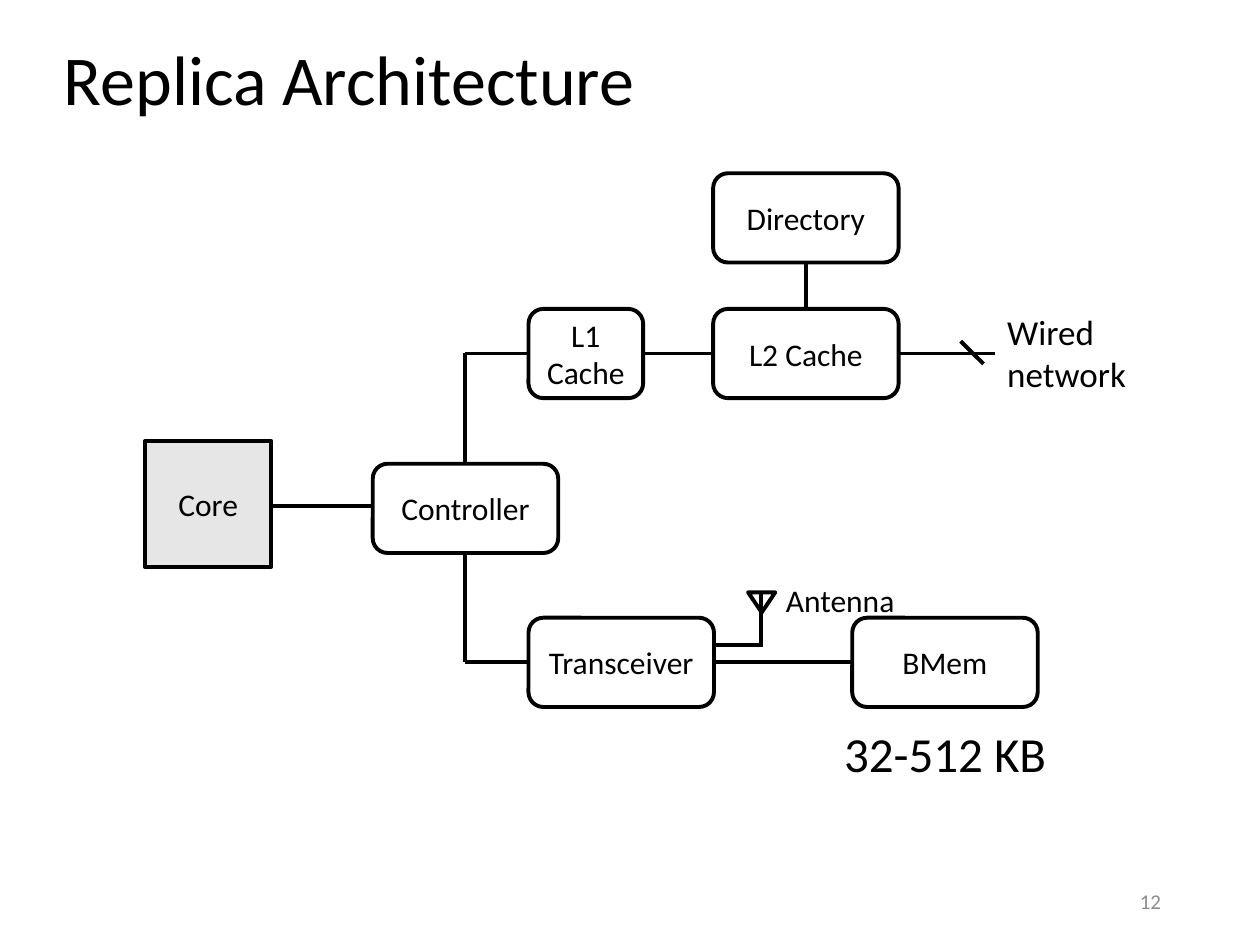
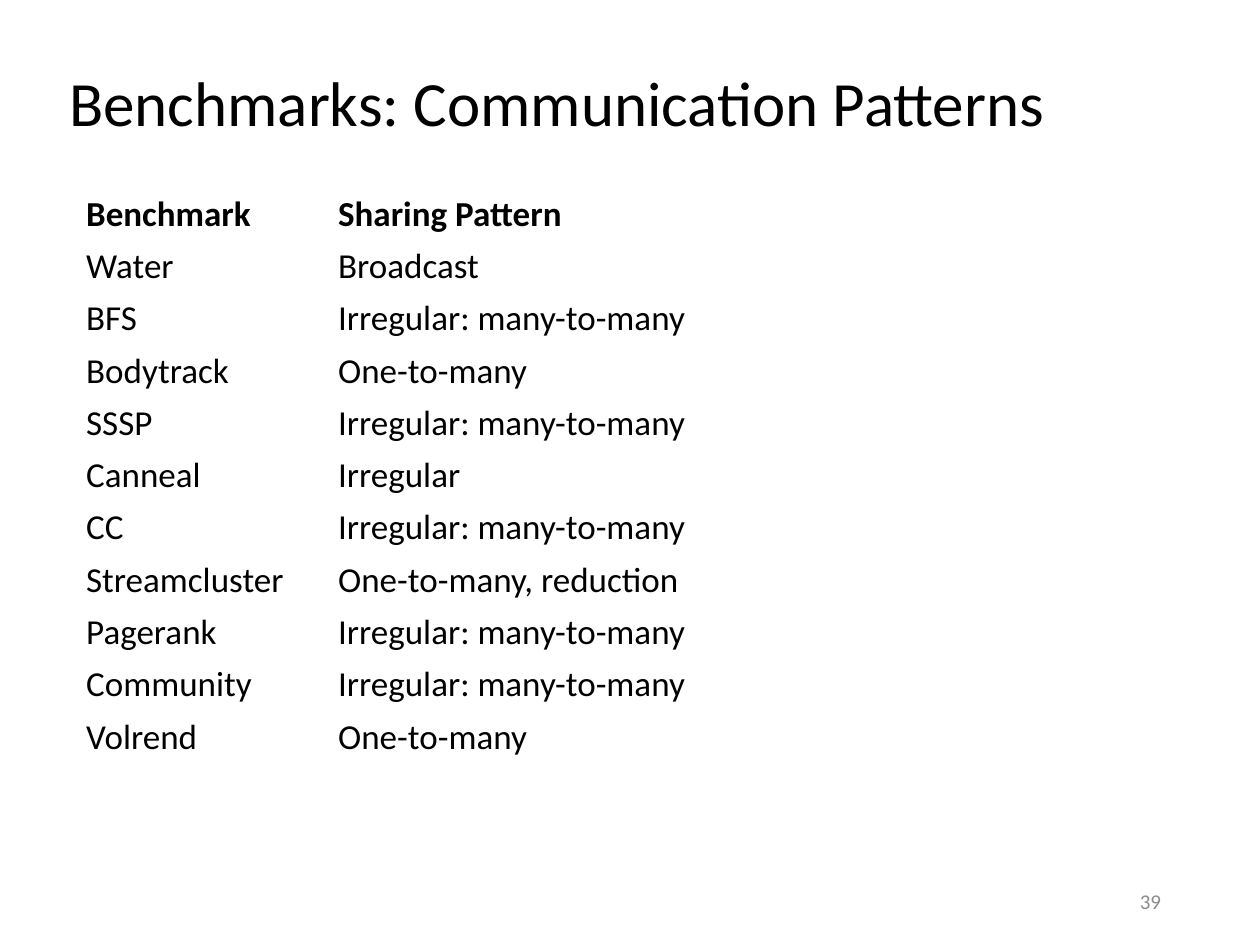
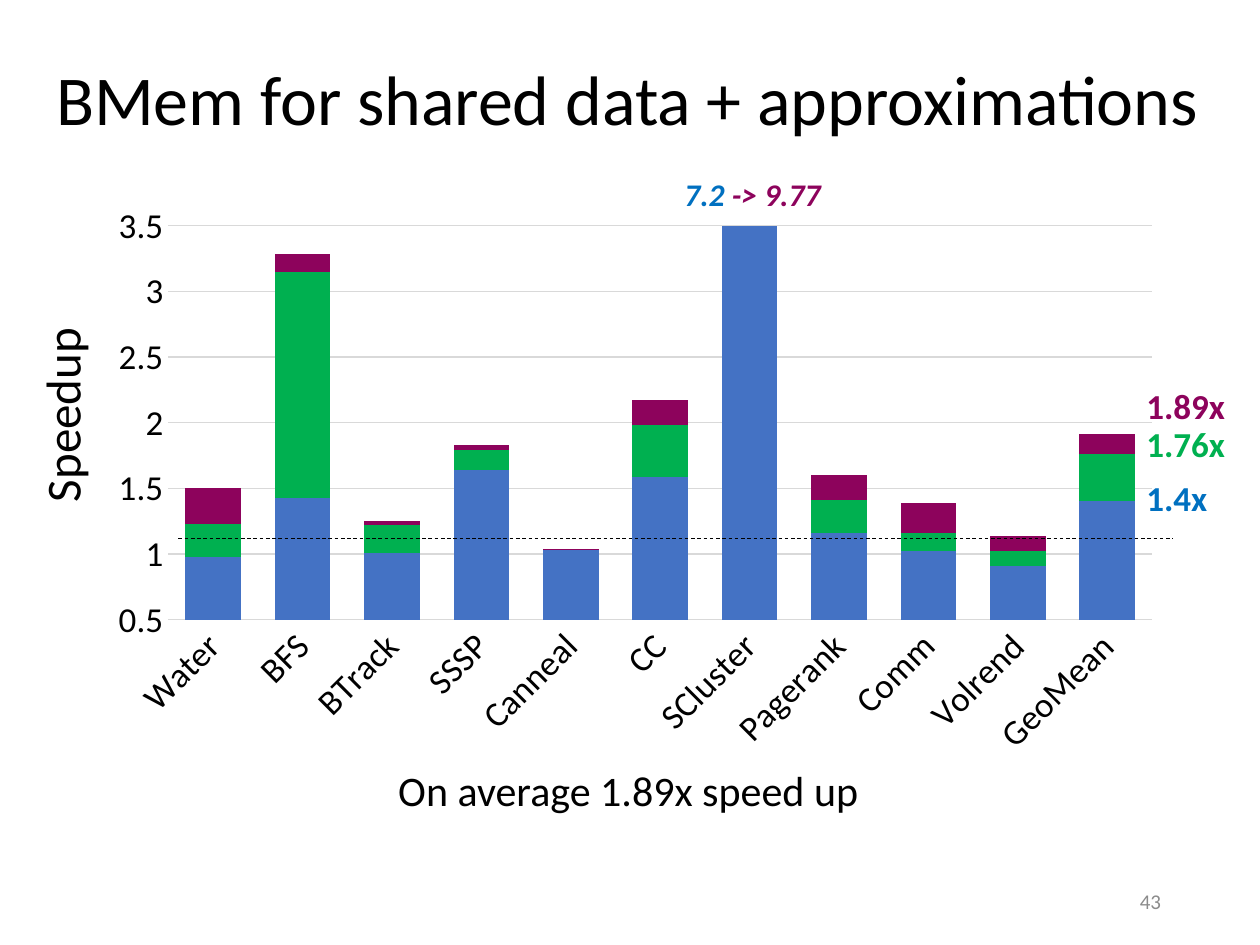
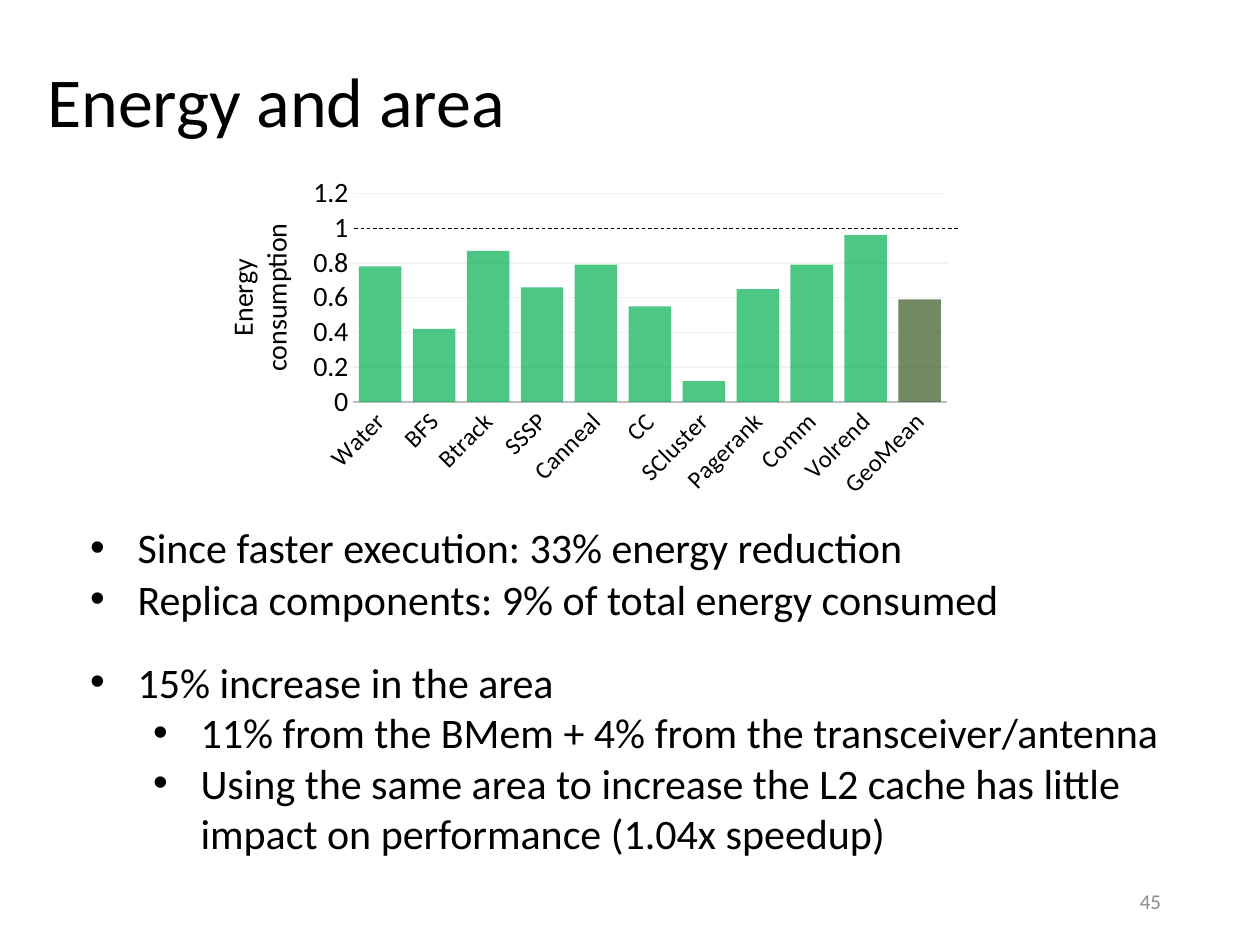
from dataclasses import dataclass
from typing import NamedTuple, Optional

from lxml import etree
from pptx import Presentation
from pptx import util as u
from pptx.chart import data as chart_data
from pptx.dml import color
from pptx.enum import chart as ch
from pptx.enum import dml, shapes, text
from pptx.oxml import ns

Pt = u.Pt
FONT = "Calibri"
COLORS = {
    "black": "000000",
    "white": "FFFFFF",
    "core": "E7E6E6",
    "number": "8C8C8C",
    "grid": "D9D9D9",
    "pale_grid": "F2F2F2",
    "axis": "BFBFBF",
    "blue_bar": "4472C4",
    "blue": "0070C0",
    "green": "00B050",
    "purple": "8D035C",
    "olive": "385723",
}
LEFT, CENTER, RIGHT = text.PP_ALIGN.LEFT, text.PP_ALIGN.CENTER, text.PP_ALIGN.RIGHT
TOP, MIDDLE = text.MSO_ANCHOR.TOP, text.MSO_ANCHOR.MIDDLE
RECT, ROUND = shapes.MSO_SHAPE.RECTANGLE, shapes.MSO_SHAPE.ROUNDED_RECTANGLE


class Frame(NamedTuple):
    x: float
    y: float
    w: float
    h: float


class Run(NamedTuple):
    text: str
    color: str = "black"
    bold: bool = False
    italic: bool = False


class Bullet(NamedTuple):
    text: str
    level: int = 0


class Line(NamedTuple):
    x1: float
    y1: float
    x2: float
    y2: float


@dataclass
class Label:
    frame: Frame
    paragraphs: list[list[Run]]
    size: float
    align: text.PP_ALIGN = LEFT
    anchor: text.MSO_ANCHOR = TOP
    wrap: bool = True
    rotation: float = 0
    spacing: float = 1


@dataclass
class Block:
    frame: Frame
    caption: str
    kind: shapes.MSO_SHAPE = ROUND
    fill: str = "white"
    size: float = 18
    outlined: bool = True


@dataclass
class Bars:
    frame: Frame
    kind: ch.XL_CHART_TYPE
    categories: list[str]
    series: list[tuple[str, list[float]]]
    cat_size: float
    val_size: float
    minimum: float
    maximum: float
    step: float
    gap: int
    overlap: int
    grid: str
    axis: str
    axis_width: float
    opacity: Optional[int] = None
    accents: Optional[dict[int, str]] = None


def rgb(name: str) -> color.RGBColor:
    return color.RGBColor.from_string(COLORS[name])


def paint(fill, name: str) -> None:
    fill.solid()
    fill.fore_color.rgb = rgb(name)


def style_line(line, name: str, width: float) -> None:
    line.color.rgb = rgb(name)
    line.width = Pt(width)


def style_font(font, size: float, name: str = "black") -> None:
    font.name = FONT
    font.size = Pt(size)
    font.color.rgb = rgb(name)


def add_run(p, run: Run, size: float) -> None:
    r = p.add_run()
    r.text = run.text
    style_font(r.font, size, run.color)
    r.font.bold = run.bold
    r.font.italic = run.italic


def points(values) -> list:
    return [Pt(v) for v in values]


def paragraph(tf, index: int):
    return tf.paragraphs[0] if index == 0 else tf.add_paragraph()


def add_label(s, label: Label) -> None:
    sp = s.shapes.add_textbox(*points(label.frame))
    sp.rotation = label.rotation
    tf = sp.text_frame
    tf.word_wrap = label.wrap
    tf.vertical_anchor = label.anchor
    for i, runs in enumerate(label.paragraphs):
        p = paragraph(tf, i)
        p.alignment = label.align
        p.line_spacing = label.spacing
        for run in runs:
            add_run(p, run, label.size)


def add_bullets(s, frame: Frame, bullets: list[Bullet]) -> None:
    tf = s.shapes.add_textbox(*points(frame)).text_frame
    tf.word_wrap = True
    for i, bullet in enumerate(bullets):
        p = paragraph(tf, i)
        p.level = bullet.level
        pPr = p._p.get_or_add_pPr()
        pPr.set("marL", str(Pt(27 + 36 * bullet.level)))
        pPr.set("indent", str(Pt(-27)))
        etree.SubElement(pPr, ns.qn("a:buFont"), typeface="Arial")
        etree.SubElement(pPr, ns.qn("a:buChar"), char="•")
        add_run(p, Run(bullet.text), 24)


def add_block(s, block: Block) -> None:
    sp = s.shapes.add_shape(block.kind, *points(block.frame))
    sp.shadow.inherit = False
    paint(sp.fill, block.fill)
    if block.outlined:
        style_line(sp.line, "black", 2.25)
    else:
        sp.line.fill.background()
    tf = sp.text_frame
    tf.word_wrap = True
    tf.vertical_anchor = MIDDLE
    p = tf.paragraphs[0]
    p.alignment = CENTER
    add_run(p, Run(block.caption), block.size)


def add_line(s, line: Line, width: float = 2.25, dashed: bool = False) -> None:
    cx = s.shapes.add_connector(shapes.MSO_CONNECTOR.STRAIGHT, *points(line))
    style_line(cx.line, "black", width)
    if dashed:
        cx.line.dash_style = dml.MSO_LINE.DASH
    etree.SubElement(cx._element.spPr, ns.qn("a:effectLst"))


def add_bars(s, bars: Bars) -> None:
    data = chart_data.CategoryChartData()
    data.categories = bars.categories
    for i, (_, values) in enumerate(bars.series, 1):
        data.add_series(f"Series {i}", values)
    chart = s.shapes.add_chart(bars.kind, *points(bars.frame), data).chart
    chart.has_legend = False
    chart.has_title = False
    style_font(chart.font, bars.val_size)

    cat, val = chart.category_axis, chart.value_axis
    for axis, size in ((cat, bars.cat_size), (val, bars.val_size)):
        axis.major_tick_mark = axis.minor_tick_mark = ch.XL_TICK_MARK.NONE
        style_font(axis.tick_labels.font, size)
    style_line(cat.format.line, bars.axis, bars.axis_width)
    cat._element.txPr.bodyPr.set("rot", "-2700000")
    val.format.line.fill.background()
    val.minimum_scale, val.maximum_scale = bars.minimum, bars.maximum
    val.major_unit = bars.step
    val.tick_labels.number_format = "General"
    val.tick_labels.number_format_is_linked = False
    style_line(val.major_gridlines.format.line, bars.grid, 0.75)

    plot = chart.plots[0]
    plot.vary_by_categories = False
    plot.gap_width, plot.overlap = bars.gap, bars.overlap
    for ser, (name, _) in zip(plot.series, bars.series):
        ser.invert_if_negative = False
        paint(ser.format.fill, name)
        for index, accent in (bars.accents or {}).items():
            paint(ser.points[index].format.fill, accent)
        if bars.opacity is not None:
            for clr in ser._element.iter(ns.qn("a:srgbClr")):
                etree.SubElement(clr, ns.qn("a:alpha"), val=str(bars.opacity * 1000))


def add_slide(prs, title: str, frame: Frame, number: int, size: float = 40):
    s = prs.slides.add_slide(prs.slide_layouts[6])
    add_label(s, Label(frame, [[Run(title)]], size, anchor=MIDDLE, spacing=0.9))
    add_label(s, Label(Frame(508.5, 500.5, 162, 28.75), [[Run(str(number), "number")]],
                       12, RIGHT, MIDDLE))
    return s


def architecture_slide(prs) -> None:
    s = add_slide(prs, "Replica Architecture", Frame(29.5, 8, 651, 79), 12)
    w, h = 106, 51
    left, middle, right = 302, 407.5, 487
    wired_top, wireless_top = 176.5, 353
    wired, wireless = wired_top + h / 2, wireless_top + h / 2
    trunk = 266
    blocks = [
        Block(Frame(83, 252, 72, 72), "Core", RECT, "core"),
        Block(Frame(213, 265, w, h), "Controller"),
        Block(Frame(left, wired_top, 65.5, h), "L1 Cache"),
        Block(Frame(left, wireless_top, w, h), "Transceiver"),
        Block(Frame(middle, wired_top, w, h), "L2 Cache"),
        Block(Frame(right, wireless_top, w, h), "BMem"),
        Block(Frame(middle, 99, w, h), "Directory"),
        Block(Frame(420, 412, 240, 37), "32-512 KB", RECT, size=28, outlined=False),
    ]
    lines = [
        Line(155, 289, 213, 289),
        Line(trunk, wireless, trunk, 316),
        Line(trunk, 265, trunk, wired),
        Line(left, wired, trunk, wired),
        Line(left, wireless, trunk, wireless),
        Line(right, wireless, left + w, wireless),
        Line(middle, wired, left + 65.5, wired),
        Line(435.5, 368.5, left + w, 368.5),
        Line(435, 369.5, 435, 338.5),
        Line(568.5, wired, middle + w, wired),
        Line(549, 195, 562, 208),
        Line(middle + w / 2, wired_top, middle + w / 2, 99 + h),
    ]
    for block in blocks:
        add_block(s, block)
    for line in lines:
        add_line(s, line)
    antenna = s.shapes.add_shape(shapes.MSO_SHAPE.ISOSCELES_TRIANGLE,
                                 *points(Frame(427.5, 338.5, 15.5, 11.5)))
    antenna.shadow.inherit = False
    antenna.rotation = 180
    antenna.fill.background()
    style_line(antenna.line, "black", 2.25)
    add_label(s, Label(Frame(442, 328.5, 77, 29), [[Run("Antenna")]], 18, wrap=False))
    add_label(s, Label(Frame(568.5, 174, 83, 55.5), [[Run("Wired")], [Run("network")]],
                       20, wrap=False))


def patterns_slide(prs) -> None:
    s = add_slide(prs, "Benchmarks: Communication Patterns",
                  Frame(32.5, 13.5, 687.5, 94), 39, 36)
    many = "Irregular: many-to-many"
    rows = [
        ("Benchmark", "Sharing Pattern"),
        ("Water", "Broadcast"),
        ("BFS", many),
        ("Bodytrack", "One-to-many"),
        ("SSSP", many),
        ("Canneal", "Irregular"),
        ("CC", many),
        ("Streamcluster", "One-to-many, reduction"),
        ("Pagerank", many),
        ("Community", many),
        ("Volrend", "One-to-many"),
    ]
    widths = [144, 224.5, 264.5]
    row_height = 29.9
    table = s.shapes.add_table(len(rows), len(widths), *points(
        Frame(44, 107.5, sum(widths), row_height * len(rows)))).table
    table.first_row = table.horz_banding = False
    for column, width in zip(table.columns, widths):
        column.width = Pt(width)
    for i, (row, values) in enumerate(zip(table.rows, rows)):
        row.height = Pt(row_height)
        for cell in row.cells:
            cell.fill.background()
            cell.margin_left = cell.margin_right = Pt(5.25)
            cell.margin_top = cell.margin_bottom = Pt(2.7)
        for cell, value in zip(row.cells, values):
            add_run(cell.text_frame.paragraphs[0], Run(value, bold=i == 0), 20)


def speedup_slide(prs) -> None:
    s = add_slide(prs, "BMem for shared data + approximations",
                  Frame(25, 18, 670, 81), 43)
    add_bars(s, Bars(
        Frame(55.5, 110, 615, 328.5), ch.XL_CHART_TYPE.COLUMN_STACKED,
        ["Water", "BFS", "BTrack", "SSSP", "Canneal", "CC", "SCluster", "Pagerank",
         "Comm", "Volrend", "GeoMean"],
        [("blue_bar", [0.98, 1.43, 1.01, 1.64, 1.03, 1.59, 7.2, 1.16, 1.02, 0.91, 1.4]),
         ("green", [0.25, 1.72, 0.21, 0.15, 0, 0.39, 2.57, 0.25, 0.14, 0.11, 0.36]),
         ("purple", [0.27, 0.13, 0.03, 0.04, 0.01, 0.19, 0, 0.19, 0.23, 0.12, 0.15])],
        cat_size=20, val_size=20,
        minimum=0.5, maximum=3.5, step=0.5, gap=61, overlap=100,
        grid="grid", axis="grid", axis_width=0.75))
    add_line(s, Line(102, 307.5, 670.5, 307.5), 0.5, True)
    add_label(s, Label(Frame(-22.5, 216, 115, 41), [[Run("Speedup")]], 28,
                       wrap=False, rotation=270))
    add_label(s, Label(Frame(220.5, 433.5, 280, 36),
                       [[Run("On average 1.89x speed up")]], 24, wrap=False))
    add_label(s, Label(Frame(384, 99, 105, 29),
                       [[Run("7.2 ", "blue", True, True),
                         Run("-> 9.77", "purple", True, True)]], 18, spacing=0.9))
    for y, value, name in ((269, "1.4x", "blue"), (238, "1.76x", "green"),
                           (216, "1.89x", "purple")):
        add_label(s, Label(Frame(648, y, 60.5, 31.5), [[Run(value, name, True)]], 20))


def energy_slide(prs) -> None:
    s = add_slide(prs, "Energy and area", Frame(20, 19.5, 670, 81), 45)
    add_bullets(s, Frame(44.5, 371.5, 645, 124), [
        Bullet("15% increase in the area"),
        Bullet("11% from the BMem + 4% from the transceiver/antenna", 1),
        Bullet("Using the same area to increase the L2 cache has little impact on "
               "performance (1.04x speedup)", 1),
    ])
    add_bullets(s, Frame(44.5, 294.5, 645, 65.5),
                [Bullet("Since faster execution: 33% energy reduction")])
    add_bullets(s, Frame(44.5, 324, 548, 36),
                [Bullet("Replica components: 9% of total energy consumed")])
    add_bars(s, Bars(
        Frame(171.5, 97, 377, 192), ch.XL_CHART_TYPE.COLUMN_CLUSTERED,
        ["Water", "BFS", "Btrack", "SSSP", "Canneal", "CC", "SCluster", "Pagerank",
         "Comm", "Volrend", "GeoMean"],
        [("green", [0.78, 0.42, 0.87, 0.66, 0.79, 0.55, 0.12, 0.65, 0.79, 0.96, 0.59])],
        cat_size=14, val_size=16,
        minimum=0, maximum=1.2, step=0.2, gap=27, overlap=25,
        grid="pale_grid", axis="axis", axis_width=1.25,
        opacity=70, accents={10: "olive"}))
    add_line(s, Line(202.5, 130.5, 548.5, 130.5), 0.5, True)
    add_label(s, Label(Frame(75.5, 147, 145, 46), [[Run("Energy consumption")]], 16,
                       CENTER, rotation=270))


def main() -> None:
    prs = Presentation()
    prs.slide_width, prs.slide_height = Pt(720), Pt(540)
    architecture_slide(prs)
    patterns_slide(prs)
    speedup_slide(prs)
    energy_slide(prs)
    prs.save("out.pptx")


if __name__ == "__main__":
    main()
